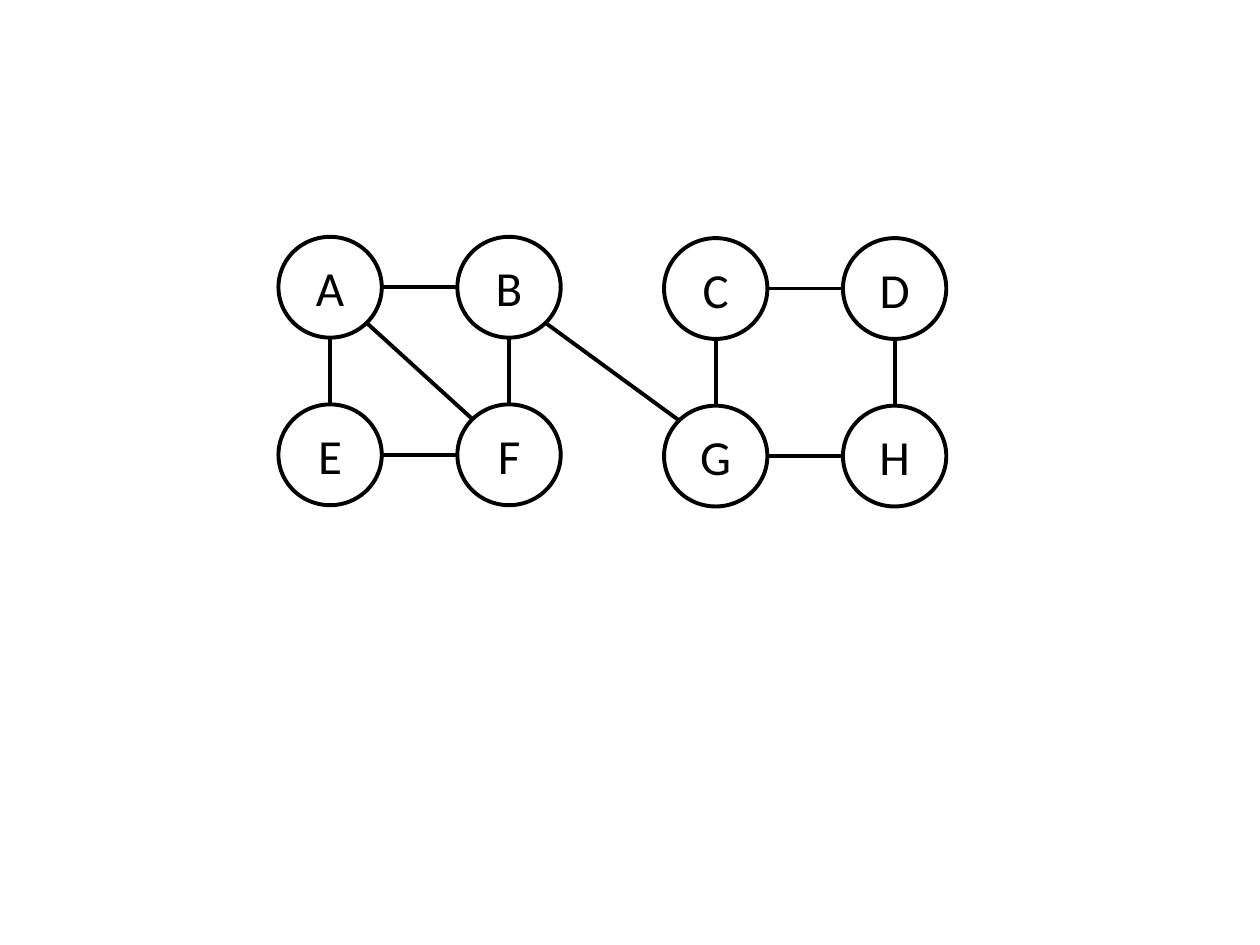
from math import hypot

from lxml import etree
from pptx import Presentation
from pptx.dml.color import RGBColor
from pptx.enum.shapes import MSO_CONNECTOR, MSO_SHAPE
from pptx.enum.text import MSO_ANCHOR, PP_ALIGN
from pptx.oxml.ns import qn
from pptx.util import Inches, Pt

OVAL, LINE = MSO_SHAPE.OVAL, MSO_CONNECTOR.STRAIGHT
MIDDLE, CENTER = MSO_ANCHOR.MIDDLE, PP_ALIGN.CENTER
BLACK = RGBColor(0, 0, 0)

# Each group: left and top, then its rows of nodes
GROUPS = [
    ((2.21, 1.88), ["AB", "EF"]),
    ((5.27, 1.89), ["CD", "GH"]),
]
EDGES = ["AB", "AF", "AE", "EF", "BF", "CD", "CG", "GH", "DH", "BG"]

WIDTH, HEIGHT = 0.82, 0.8
COL, ROW = 1.42, 1.33  # grid steps within a group
STROKE = Pt(2.25)


def sign(num):
    return (num > 0.1) - (num < -0.1)


def rim(start, goal):
    """Point on the oval at start, on the eighth of a turn facing goal."""
    dx, dy = (sign(b - a) for a, b in zip(start, goal))
    size = hypot(dx, dy)
    return (start[0] + dx / size * WIDTH / 2,
            start[1] + dy / size * HEIGHT / 2)


prs = Presentation()
prs.slide_width, prs.slide_height = Inches(10), Inches(7.5)
slide = prs.slides.add_slide(prs.slide_layouts[6])

# Nodes
mids = {}
for (left, top), rows in GROUPS:
    for row, names in enumerate(rows):
        for col, name in enumerate(names):
            x, y = left + col * COL, top + row * ROW
            mids[name] = x + WIDTH / 2, y + HEIGHT / 2
            node = slide.shapes.add_shape(
                OVAL, Inches(x), Inches(y), Inches(WIDTH), Inches(HEIGHT))
            node.shadow.inherit = False
            node.fill.background()
            node.line.color.rgb = BLACK
            node.line.width = STROKE
            node.text_frame.vertical_anchor = MIDDLE
            para = node.text_frame.paragraphs[0]
            para.text = name
            para.alignment = CENTER
            para.font.name = "Calibri"
            para.font.size = Pt(28)
            para.font.color.rgb = BLACK

# Edges
for tail, head in EDGES:
    ends = rim(mids[tail], mids[head]) + rim(mids[head], mids[tail])
    edge = slide.shapes.add_connector(LINE, *map(Inches, ends))
    edge.line.color.rgb = BLACK
    edge.line.width = STROKE
    etree.SubElement(edge._element.spPr, qn("a:effectLst"))

prs.save("out.pptx")
